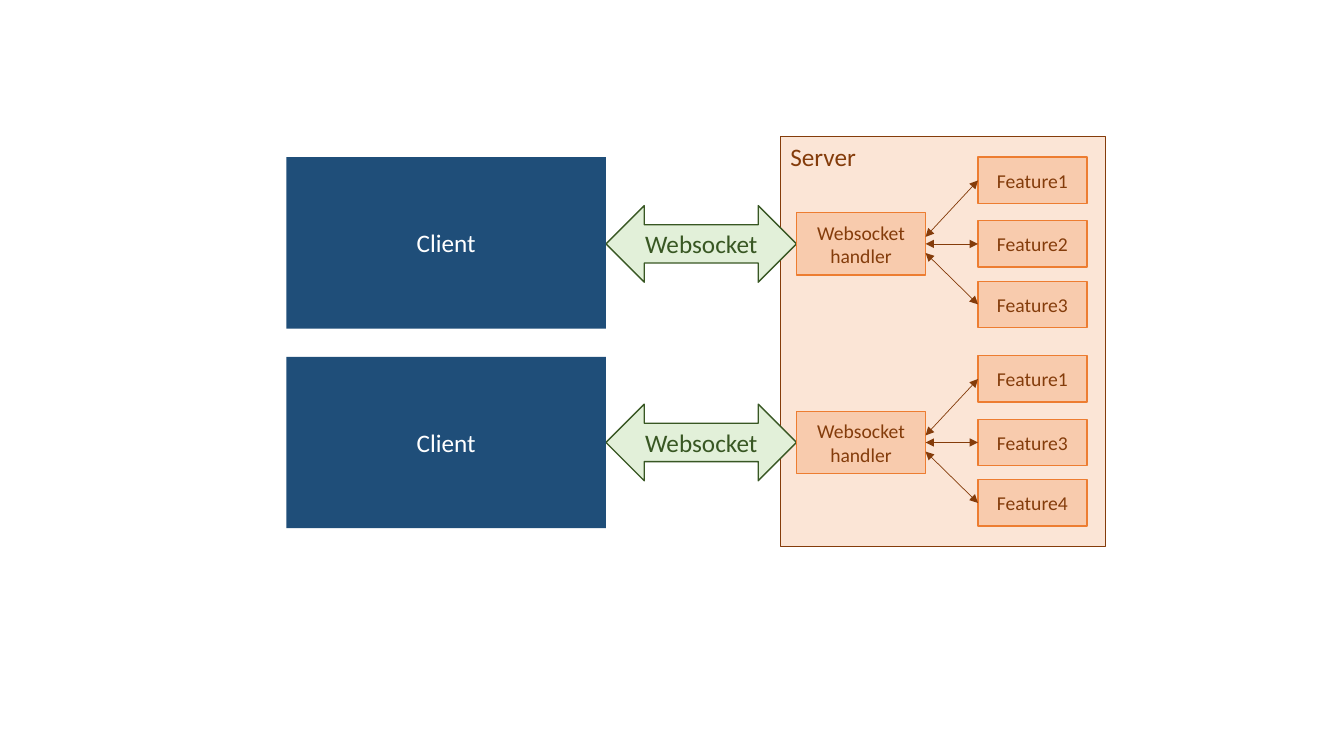
from dataclasses import dataclass

from lxml.etree import SubElement
from pptx import Presentation
from pptx.dml.color import RGBColor
from pptx.enum.shapes import MSO_CONNECTOR as Connector, MSO_SHAPE as Preset
from pptx.enum.text import MSO_ANCHOR as Anchor, PP_ALIGN as Align
from pptx.oxml.ns import qn
from pptx.util import Emu, Pt

PX = 9144  # 100 px to the inch


@dataclass(frozen=True)
class Theme:
    font: str = "Calibri"
    large: int = 18
    small: int = 14
    white: str = "FFFFFF"
    client: str = "1F4E79"
    server: str = "FBE5D6"
    module: str = "F8CBAD"
    module_line: str = "ED7D31"
    brown: str = "843C0B"
    socket: str = "E2F0D9"
    green: str = "385723"


THEME = Theme()

# Client top, top of the server side, features of each connection
CONNECTIONS = [
    (156, 156, ("Feature1", "Feature2", "Feature3")),
    (354, 353, ("Feature1", "Feature3", "Feature4")),
]
FEATURE_OFFSETS = (0, 63, 123)
LINK_ENDS = (79, 86, 95)  # where the links meet the handler
FEATURE_LEFT, HANDLER_LEFT, HANDLER_WIDTH = 970, 790, 128


def px(*lengths):
    return [Emu(length * PX) for length in lengths]


def rgb(color):
    return RGBColor.from_string(color)


def add_box(slide, place, lines, fill, ink, outline=None, size=THEME.large,
            preset=Preset.RECTANGLE, weight=1, wrap=True,
            align=Align.CENTER, anchor=Anchor.MIDDLE):
    """Add a filled shape with one paragraph for each line of text."""
    box = slide.shapes.add_shape(preset, *px(*place))
    box.shadow.inherit = False
    box.fill.solid()
    box.fill.fore_color.rgb = rgb(fill)
    if outline:
        box.line.color.rgb = rgb(outline)
        box.line.width = Pt(weight)
    else:
        box.line.fill.background()

    frame = box.text_frame
    frame.word_wrap = wrap
    frame.vertical_anchor = anchor
    frame.text = "\n".join(lines)
    for para in frame.paragraphs:
        para.alignment = align
        para.font.name = THEME.font
        para.font.size = Pt(size)
        para.font.color.rgb = rgb(ink)


def add_module(slide, place, *lines):
    add_box(slide, place, lines, THEME.module, THEME.brown,
            outline=THEME.module_line, size=THEME.small)


def add_link(slide, start, end):
    """Add a thin line with an arrowhead at both ends."""
    link = slide.shapes.add_connector(Connector.STRAIGHT, *px(*start, *end))
    link.line.color.rgb = rgb(THEME.brown)
    link.line.width = Pt(0.5)
    outline = link.line._get_or_add_ln()
    for tag in ("a:headEnd", "a:tailEnd"):
        SubElement(outline, qn(tag), type="triangle")
    SubElement(link._element.spPr, qn("a:effectLst"))


def add_connection(slide, client_top, top, features):
    """Add a client, its websocket, the handler and the linked features."""
    add_box(slide, (601, top + 48, 189, 76), ["Websocket"], THEME.socket,
            THEME.green, outline=THEME.green, preset=Preset.LEFT_RIGHT_ARROW)
    add_box(slide, (284, client_top, 317, 170), ["Client"], THEME.client,
            THEME.white, wrap=False)
    add_module(slide, (HANDLER_LEFT, top + 55, HANDLER_WIDTH, 62),
               "Websocket", "handler")
    for name, offset, link_end in zip(features, FEATURE_OFFSETS, LINK_ENDS):
        add_module(slide, (FEATURE_LEFT, top + offset, 108, 46), name)
        add_link(slide, (FEATURE_LEFT, top + offset + 23),
                 (HANDLER_LEFT + HANDLER_WIDTH, top + link_end))


def main():
    deck = Presentation()
    deck.slide_width, deck.slide_height = px(1333, 750)
    slide = deck.slides.add_slide(deck.slide_layouts[6])

    # Server behind everything
    add_box(slide, (774, 135, 322, 407), ["Server"], THEME.server,
            THEME.brown, outline=THEME.brown, weight=0.75, wrap=False,
            align=Align.LEFT, anchor=Anchor.TOP)

    # Client connections
    for connection in CONNECTIONS:
        add_connection(slide, *connection)

    deck.save("out.pptx")


if __name__ == "__main__":
    main()
